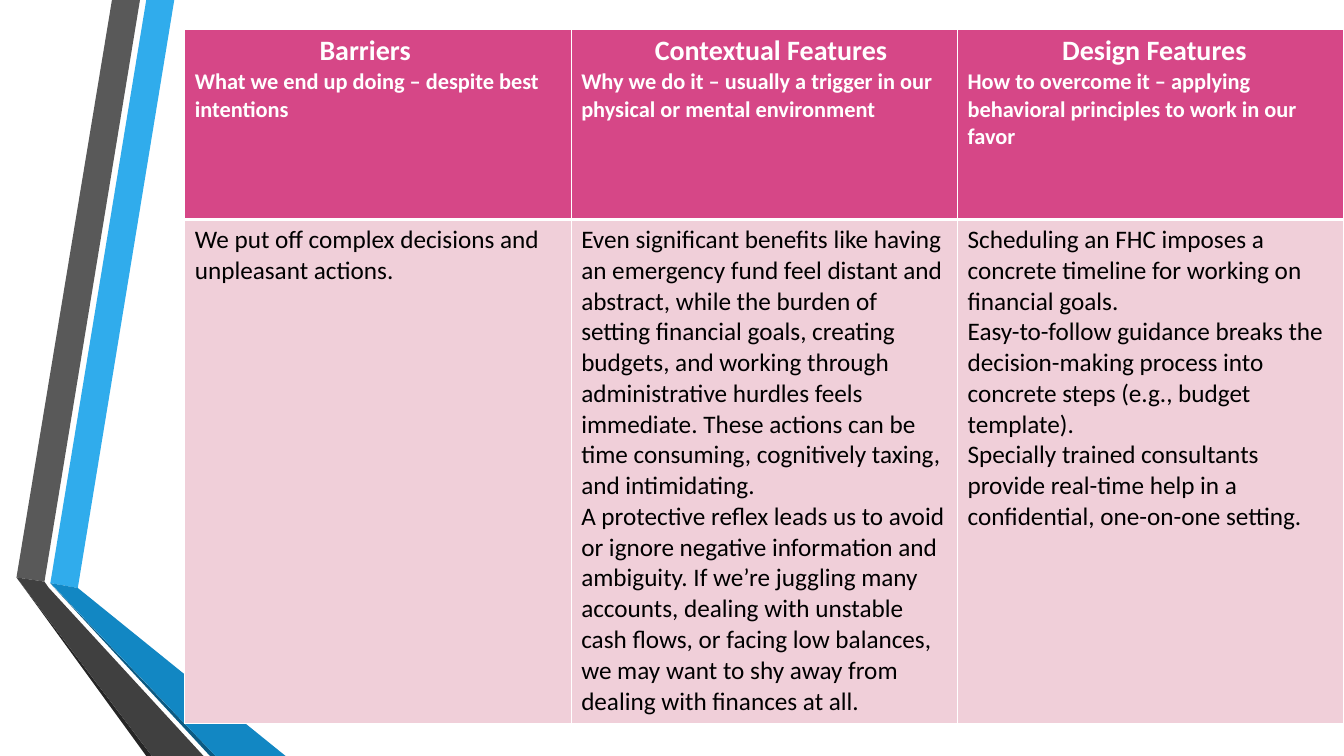
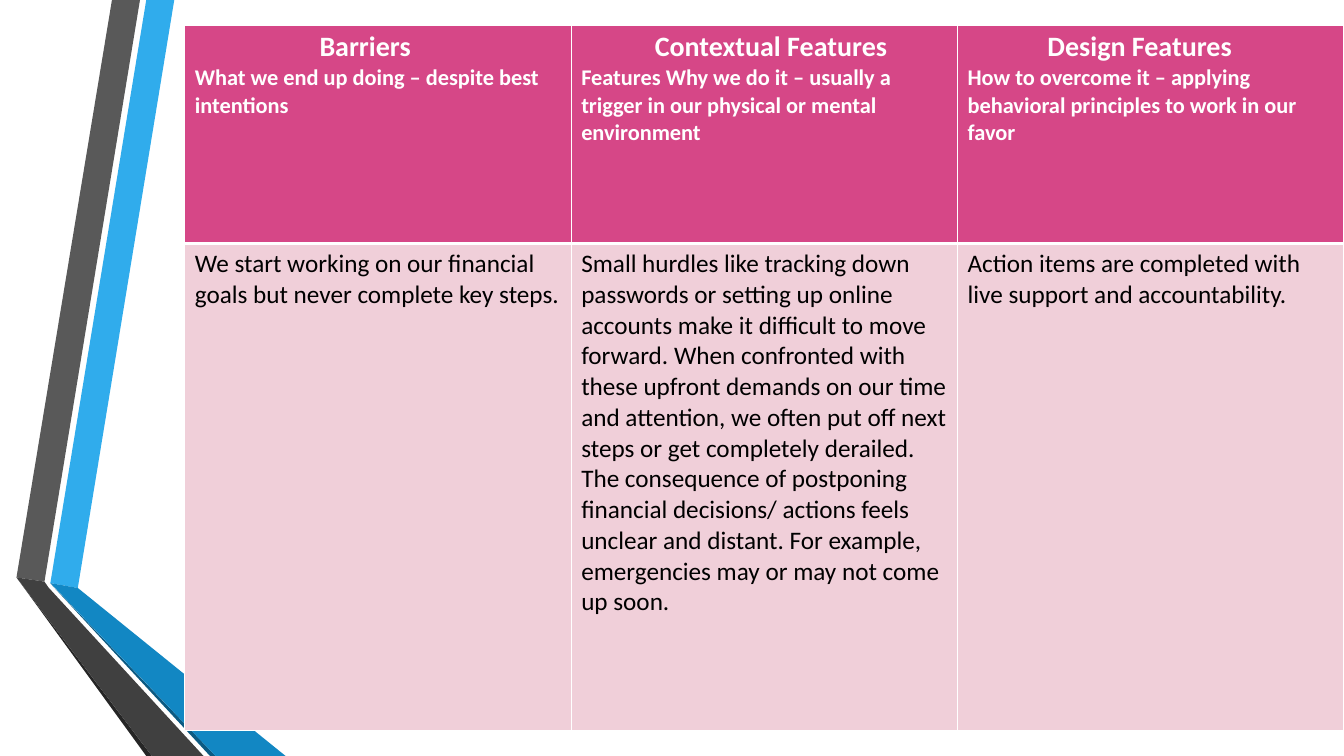
from lxml.etree import SubElement
from pptx import Presentation
from pptx.dml.color import RGBColor
from pptx.oxml.ns import qn
from pptx.util import Pt

# Content: each column is heading, heading indent, subheading, body paragraphs
SLIDES = [
    {
        "top": 20.9, "rows": (136, 360),
        "columns": [
            ("Barriers", 89, "What we end up doing – despite best intentions",
             ["We put off complex decisions and unpleasant actions."]),
            ("Contextual Features", 52.5,
             "Why we do it – usually a trigger in our physical or mental environment",
             ["Even significant benefits like having an emergency fund feel distant and abstract, "
              "while the burden of setting financial goals, creating budgets, and working through "
              "administrative hurdles feels immediate. These actions can be time consuming, "
              "cognitively taxing, and intimidating.",
              "A protective reflex leads us to avoid or ignore negative information and ambiguity. "
              "If we’re juggling many accounts, dealing with unstable cash flows, or facing low "
              "balances, we may want to shy away from dealing with finances at all."]),
            ("Design Features", 67.5,
             "How to overcome it – applying behavioral principles to work in our favor",
             ["Scheduling an FHC imposes a concrete timeline for working on financial goals.",
              "Easy-to-follow guidance breaks the decision-making process into concrete steps "
              "(e.g., budget template).",
              "Specially trained consultants provide real-time help in a confidential, "
              "one-on-one setting."]),
        ],
    },
    {
        "top": 18, "rows": (156, 348),
        "columns": [
            ("Barriers", 89, "What we end up doing – despite best intentions",
             ["We start working on our financial goals but never complete key steps."]),
            ("Contextual Features", 52.5,
             "Features Why we do it – usually a trigger in our physical or mental environment",
             ["Small hurdles like tracking down passwords or setting up online accounts make it "
              "difficult to move forward. When confronted with these upfront demands on our time "
              "and attention, we often put off next steps or get completely derailed.",
              "The consequence of postponing financial decisions/ actions feels unclear and "
              "distant. For example, emergencies may or may not come up soon."]),
            ("Design Features", 57,
             "How to overcome it – applying behavioral principles to work in our favor",
             ["Action items are completed with live support and accountability."]),
        ],
    },
]

# Shared style
COLORS = {
    "blue": "30ACEC", "blue_fold": "1287C3", "blue_edge": "0C5A82",
    "gray": "595959", "gray_fold": "404040", "gray_edge": "262626",
    "header": "D64787", "body": "F0CFD9", "white": "FFFFFF", "black": "000000",
}
FONT = "Calibri"
SLIDE_WIDTH, SLIDE_HEIGHT = 960, 540
TABLE_LEFT, COLUMN_WIDTH = 132, 276
THIN, THICK = 1, 3

# Folded ribbons on the left edge, corner points from back to front
RIBBONS = [
    ("blue", [(36, 416.5), (55.6, 420), (124.5, 0), (104.5, 0)]),
    ("gray", [(100, 0), (80, 0), (11.8, 412.5), (31.8, 415.5)]),
    ("gray_edge", [(11.8, 412.5), (104.5, 540), (108.5, 540)]),
    ("blue_edge", [(36, 416.8), (150, 540), (154, 540)]),
    ("blue_fold", [(36, 416.5), (154, 540), (204, 540), (55.6, 420)]),
    ("gray_fold", [(11.8, 412.5), (108.5, 540), (145.4, 540), (34.5, 419.5), (31.8, 415.5)]),
]


def color(name):
    return RGBColor.from_string(COLORS[name])


def add_ribbons(slide, layout):
    """Draw the ribbons, then move them to the layout so all slides share them."""
    for fill, points in RIBBONS:
        start, *others = [(Pt(x), Pt(y)) for x, y in points]
        builder = slide.shapes.build_freeform(*start)
        builder.add_line_segments(others, close=True)
        ribbon = builder.convert_to_shape()
        ribbon.shadow.inherit = False
        ribbon.fill.solid()
        ribbon.fill.fore_color.rgb = color(fill)
        ribbon.line.fill.background()
        layout.shapes.element.append(ribbon.element)


def set_borders(cell, top, bottom):
    properties = cell._tc.get_or_add_tcPr()
    for side, width in (("L", THIN), ("R", THIN), ("T", top), ("B", bottom)):
        line = SubElement(properties, qn(f"a:ln{side}"), w=str(Pt(width)))
        fill = SubElement(line, qn("a:solidFill"))
        SubElement(fill, qn("a:srgbClr"), val=COLORS["white"])


def fill_cell(cell, fill, text_color, paragraphs, bold):
    """Write (text, size, indent) paragraphs into a coloured cell."""
    cell.fill.solid()
    cell.fill.fore_color.rgb = color(fill)
    cell.text_frame.text = "\n".join(text for text, _, _ in paragraphs)
    for paragraph, (_, size, indent) in zip(cell.text_frame.paragraphs, paragraphs):
        if indent:
            paragraph._p.get_or_add_pPr().set("marL", str(Pt(indent)))
        font = paragraph.runs[0].font
        font.name, font.size, font.bold = FONT, Pt(size), bold
        font.color.rgb = color(text_color)


def add_feature_table(slide, content):
    columns, heights = content["columns"], content["rows"]
    table = slide.shapes.add_table(
        2, len(columns), Pt(TABLE_LEFT), Pt(content["top"]),
        Pt(COLUMN_WIDTH * len(columns)), Pt(sum(heights))).table
    for row, height in zip(table.rows, heights):
        row.height = Pt(height)
    for index, (heading, indent, subheading, body) in enumerate(columns):
        table.columns[index].width = Pt(COLUMN_WIDTH)
        header_cell, body_cell = table.cell(0, index), table.cell(1, index)
        set_borders(header_cell, THIN, THICK)
        set_borders(body_cell, THICK, THIN)
        fill_cell(header_cell, "header", "white",
                  [(heading, 20, indent), (subheading, 16, 0)], True)
        fill_cell(body_cell, "body", "black", [(text, 18, 0) for text in body], False)


def main():
    presentation = Presentation()
    presentation.slide_width, presentation.slide_height = Pt(SLIDE_WIDTH), Pt(SLIDE_HEIGHT)
    layout = presentation.slide_layouts[6]
    slides = [presentation.slides.add_slide(layout) for _ in SLIDES]
    add_ribbons(slides[0], layout)
    for slide, content in zip(slides, SLIDES):
        add_feature_table(slide, content)
    presentation.save("out.pptx")


if __name__ == "__main__":
    main()
